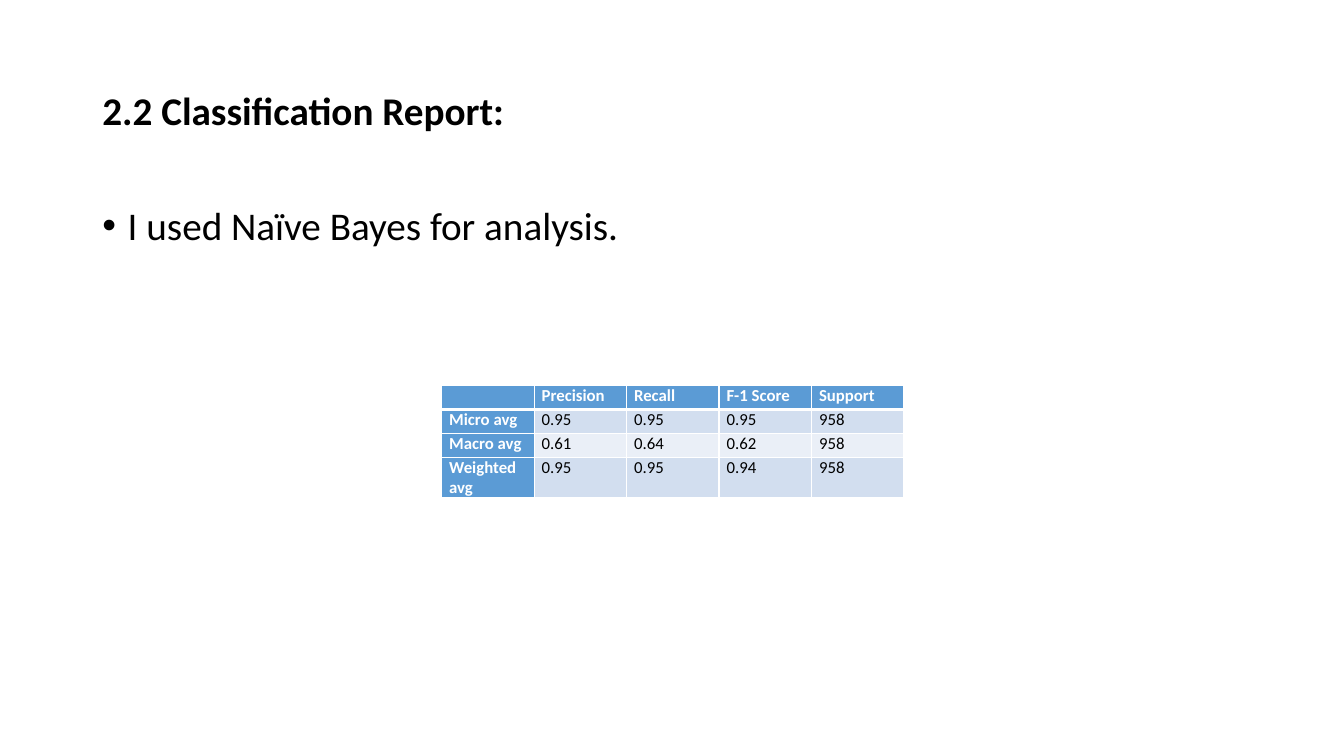
import dataclasses
import typing

import pptx
import pptx.dml.color
import pptx.enum.text
import pptx.oxml
import pptx.oxml.ns
import pptx.util

Cm = pptx.util.Cm
Pt = pptx.util.Pt

COLORS = {
    "text": "000000",
    "white": "FFFFFF",
    "header": "5B9BD5",
    "odd_row": "D2DEEF",
    "even_row": "EAEFF7",
}
FONT = "Calibri"
COL_WIDTH = 2.33
ROW_HEIGHT = 0.6
REPORT = [
    ["", "Precision", "Recall", "F-1 Score", "Support"],
    ["Micro avg", "0.95", "0.95", "0.95", "958"],
    ["Macro avg", "0.61", "0.64", "0.62", "958"],
    ["Weighted avg", "0.95", "0.95", "0.94", "958"],
]


@dataclasses.dataclass
class TextBlock:
    text: str
    top: float
    height: float
    anchor: pptx.enum.text.MSO_ANCHOR
    bold: bool = False
    bullet: bool = False


BLOCKS = [
    TextBlock("2.2 Classification Report:", 1.01, 3.68,
              pptx.enum.text.MSO_ANCHOR.MIDDLE, bold=True),
    TextBlock("I used Naïve Bayes for analysis.", 5.07, 12.09,
              pptx.enum.text.MSO_ANCHOR.TOP, bullet=True),
]


def rgb(name: str) -> pptx.dml.color.RGBColor:
    return pptx.dml.color.RGBColor.from_string(COLORS[name])


def apply(obj: typing.Any, values: dict[str, typing.Any]) -> None:
    for name, value in values.items():
        setattr(obj, name, value)


def add_run(p: typing.Any, text: str, size: float, color: str, bold: bool) -> None:
    r = p.add_run()
    r.text = text
    apply(r.font, {"name": FONT, "size": Pt(size), "bold": bold})
    r.font.color.rgb = rgb(color)


def add_text(s: typing.Any, block: TextBlock) -> None:
    sp = s.shapes.add_textbox(Cm(2.33), Cm(block.top), Cm(29.21), Cm(block.height))
    tf = sp.text_frame
    apply(tf, {"word_wrap": True, "vertical_anchor": block.anchor})
    p = tf.paragraphs[0]
    p.line_spacing = 0.9
    if block.bullet:
        p.space_before = Pt(10)
        pPr = p._p.get_or_add_pPr()
        pPr.set("marL", str(Cm(0.64)))
        pPr.set("indent", str(-Cm(0.64)))
        ns = pptx.oxml.ns.nsdecls("a")
        pPr.append(pptx.oxml.parse_xml(f'<a:buFont {ns} typeface="Arial"/>'))
        pPr.append(pptx.oxml.parse_xml(f'<a:buChar {ns} char="•"/>'))
    add_run(p, block.text, 28, "text", block.bold)


def set_borders(cell: typing.Any, widths: dict[str, float]) -> None:
    tcPr = cell._tc.get_or_add_tcPr()
    for i, (side, width) in enumerate(widths.items()):
        tcPr.insert(i, pptx.oxml.parse_xml(
            f'<a:ln{side} {pptx.oxml.ns.nsdecls("a")} w="{Pt(width)}">'
            f'<a:solidFill><a:srgbClr val="{COLORS["white"]}"/></a:solidFill>'
            f'</a:ln{side}>'))


def fill_cell(cell: typing.Any, text: str, row: int, col: int) -> None:
    is_header = row == 0 or col == 0
    apply(cell, {"margin_left": Cm(0.19), "margin_right": Cm(0.19),
                 "margin_top": 0, "margin_bottom": 0})
    cell.fill.solid()
    band = "odd_row" if row % 2 else "even_row"
    cell.fill.fore_color.rgb = rgb("header" if is_header else band)
    set_borders(cell, {"L": 1, "R": 1, "T": 3 if row == 1 else 1,
                       "B": 3 if row == 0 else 1})
    p = cell.text_frame.paragraphs[0]
    if text:
        p.space_before = Pt(24)
        add_run(p, text, 12, "white" if is_header else "text", is_header)
    else:
        p._p.append(pptx.oxml.parse_xml(
            f'<a:endParaRPr {pptx.oxml.ns.nsdecls("a")} sz="1200"/>'))


def add_report(s: typing.Any) -> None:
    n_rows, n_cols = len(REPORT), len(REPORT[0])
    table = s.shapes.add_table(n_rows, n_cols, Cm(11.13), Cm(9.72),
                               Cm(COL_WIDTH * n_cols), Cm(ROW_HEIGHT * n_rows)).table
    apply(table, {"first_row": False, "horz_banding": False})
    for column in table.columns:
        column.width = Cm(COL_WIDTH)
    for i, values in enumerate(REPORT):
        table.rows[i].height = Cm(ROW_HEIGHT)
        for j, text in enumerate(values):
            fill_cell(table.cell(i, j), text, i, j)


def main() -> None:
    prs = pptx.Presentation()
    apply(prs, {"slide_width": Cm(33.87), "slide_height": Cm(19.05)})
    s = prs.slides.add_slide(prs.slide_layouts[6])
    for block in BLOCKS:
        add_text(s, block)
    add_report(s)
    prs.save("out.pptx")


if __name__ == "__main__":
    main()
